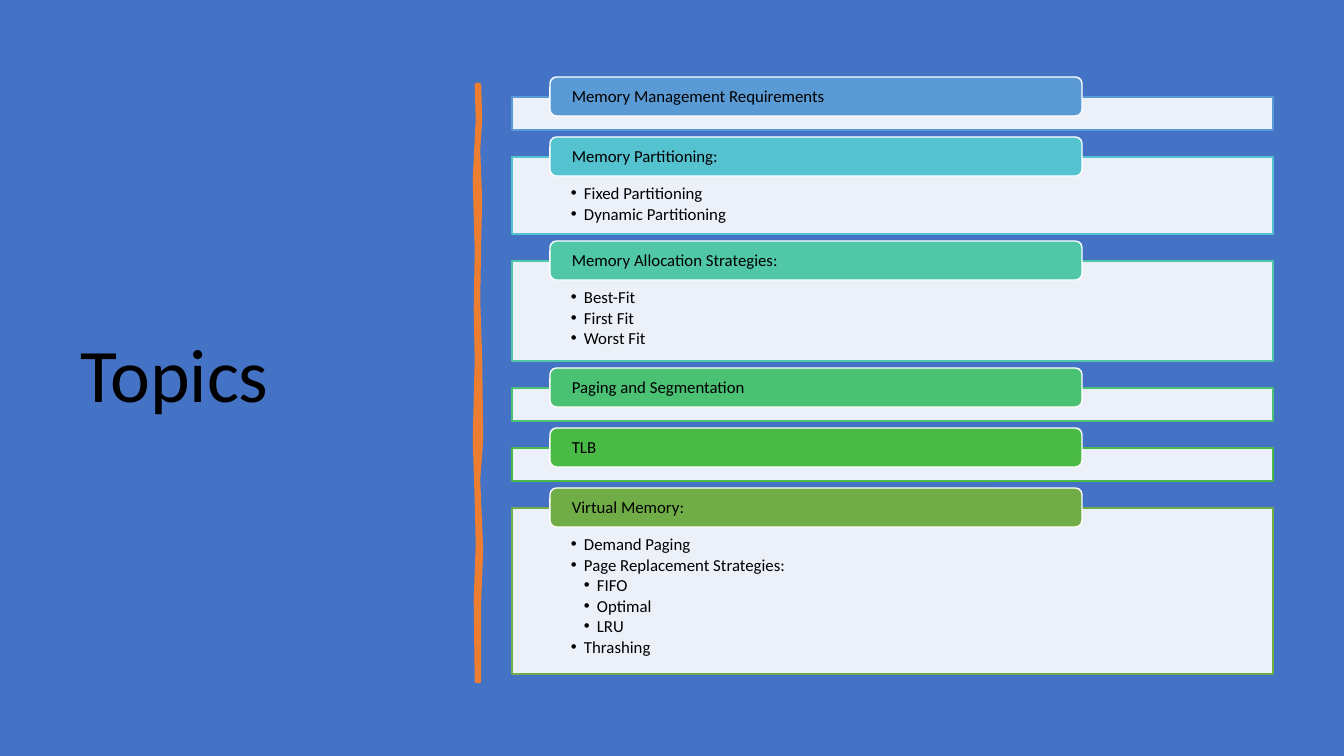
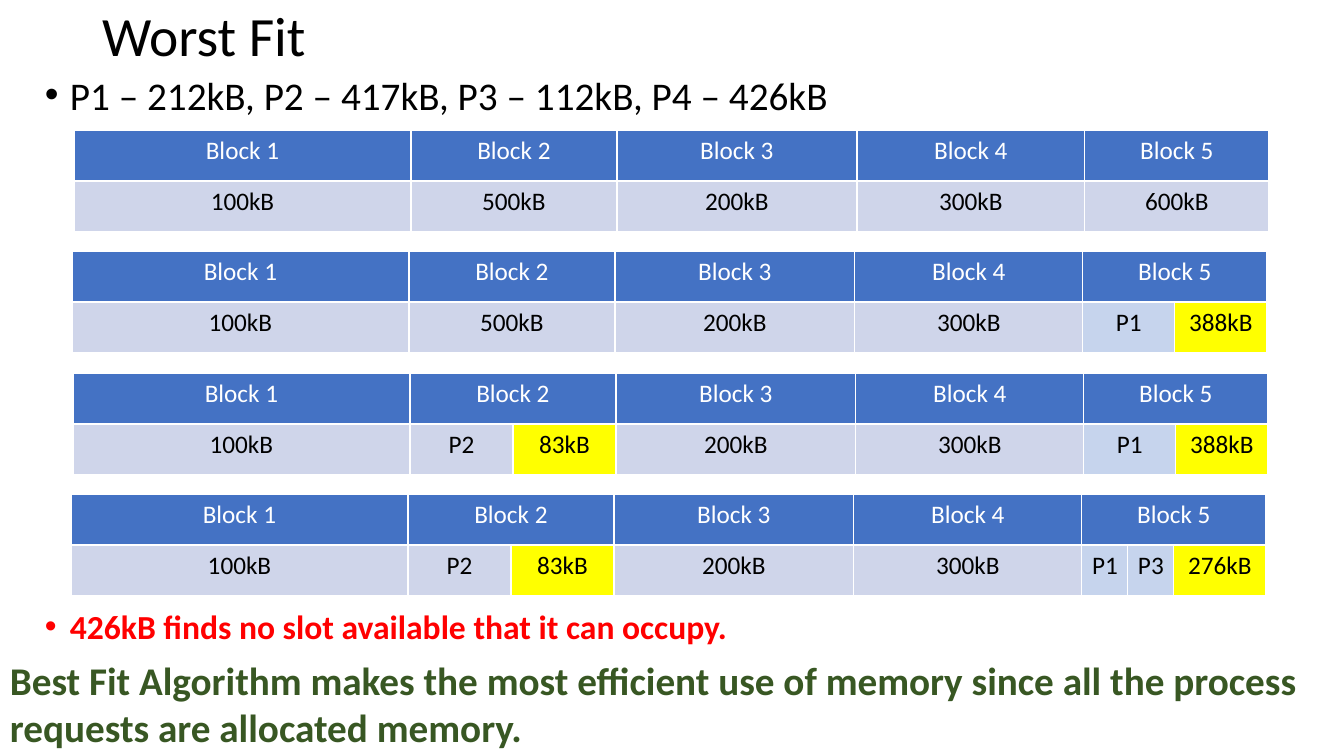
from lxml.etree import SubElement
from pptx import Presentation
from pptx.dml.color import RGBColor
from pptx.enum.shapes import MSO_SHAPE
from pptx.enum.text import MSO_ANCHOR, MSO_AUTO_SIZE, PP_ALIGN
from pptx.oxml import parse_xml
from pptx.oxml.ns import nsdecls, qn
from pptx.util import Emu, Pt

SLIDE_WIDTH, SLIDE_HEIGHT = 1344, 756
EMU_PER_PX = 914400 / 100.8
FONT = "Calibri"
COLORS = {
    "black": "000000", "white": "FFFFFF", "blue": "4472C4", "orange": "ED7D31",
    "free": "CFD5EA", "used": "C6D4ED", "left": "FFFF00",
    "red": "FF0000", "green": "385723",
}

# Heading, accent colour, details as (text, level)
TOPICS = [
    ("Memory Management Requirements", "5B9BD5", []),
    ("Memory Partitioning:", "55C3CF",
     [("Fixed Partitioning", 1), ("Dynamic Partitioning", 1)]),
    ("Memory Allocation Strategies:", "50C8A7",
     [("Best-Fit", 1), ("First Fit", 1), ("Worst Fit", 1)]),
    ("Paging and Segmentation", "4BC174", []),
    ("TLB", "4ABA46", []),
    ("Virtual Memory:", "70AD47",
     [("Demand Paging", 1), ("Page Replacement Strategies:", 1), ("FIFO", 2),
      ("Optimal", 2), ("LRU", 2), ("Thrashing", 1)]),
]
CARD_LEFT, CARD_TOP, CARD_WIDTH, CARD_GAP = 512, 97, 761, 27
CARD_BASE, CARD_LINE = 33, 22.2
HEADING_LEFT, HEADING_RISE, HEADING_WIDTH, HEADING_HEIGHT = 550, 20, 532, 39

# Edges of the hand-drawn divider as (x, y), down the right and up the left
DIVIDER = [(479, 85), (480, 120), (478, 150), (480, 200), (479, 240), (478, 300),
           (480, 360), (481, 440), (478, 480), (481, 550), (479, 600), (479, 681),
           (477, 681), (476, 600), (478, 545), (477, 500), (475, 440), (477, 360),
           (476, 310), (477, 250), (475, 180), (478, 120), (477, 85)]

# Each block is a list of parts: text, fill, quarters of the block's width
BLOCK_WIDTHS = [337, 206, 240, 228, 184]
ROW_HEIGHT = 51
FREE_1, FREE_2, FREE_3, FREE_4, FREE_5 = (
    [(size, "free", 4)] for size in ("100kB", "500kB", "200kB", "300kB", "600kB"))
BLOCK_2_WITH_P2 = [("P2", "free", 2), ("83kB", "left", 2)]
BLOCK_5_WITH_P1 = [("P1", "used", 2), ("388kB", "left", 2)]
BLOCK_5_WITH_P3 = [("P1", "used", 1), ("P3", "used", 1), ("276kB", "left", 2)]
# Left, top, blocks
MEMORY_STATES = [
    (74, 130, [FREE_1, FREE_2, FREE_3, FREE_4, FREE_5]),
    (72, 251, [FREE_1, FREE_2, FREE_3, FREE_4, BLOCK_5_WITH_P1]),
    (73, 373, [FREE_1, BLOCK_2_WITH_P2, FREE_3, FREE_4, BLOCK_5_WITH_P1]),
    (71, 494, [FREE_1, BLOCK_2_WITH_P2, FREE_3, FREE_4, BLOCK_5_WITH_P3]),
]
PROCESSES = "P1 – 212kB, P2 – 417kB, P3 – 112kB, P4 – 426kB"
RESULT = "426kB finds no slot available that it can occupy."
CONCLUSION = ("Best Fit Algorithm makes the most efficient use of memory since all "
              "the process requests are allocated memory.")


def px(value):
    return Emu(round(value * EMU_PER_PX))


def box(left, top, width, height):
    return px(left), px(top), px(width), px(height)


def rgb(color):
    return RGBColor.from_string(COLORS.get(color, color))


def write(frame, text, level=1, size=12, color="black", bold=False, align=PP_ALIGN.LEFT,
          spacing=None, before=None, after=None, indent=0):
    """Add a paragraph to a text frame; an indent in px gives it a bullet."""
    paragraph = frame.add_paragraph() if frame.text else frame.paragraphs[0]
    if indent:
        properties = paragraph._p.get_or_add_pPr()
        properties.set("marL", str(px(indent * level)))
        properties.set("indent", str(-px(indent)))
        SubElement(properties, qn("a:buFont"), typeface="Arial")
        SubElement(properties, qn("a:buChar"), char="•")
    paragraph.alignment = align
    if spacing:
        paragraph.line_spacing = spacing
    if before:
        paragraph.space_before = Pt(before)
    if after:
        paragraph.space_after = Pt(after)
    run = paragraph.add_run()
    run.text = text
    run.font.name = FONT
    run.font.size = Pt(size)
    run.font.bold = bold
    run.font.color.rgb = rgb(color)


def set_insets(frame, left, top, right, bottom):
    frame.margin_left, frame.margin_top = px(left), px(top)
    frame.margin_right, frame.margin_bottom = px(right), px(bottom)


def paint(shape, fill, line=None, width=1):
    shape.shadow.inherit = False
    shape.fill.solid()
    shape.fill.fore_color.rgb = rgb(fill)
    if line:
        shape.line.color.rgb = rgb(line)
        shape.line.width = Pt(width)
    else:
        shape.line.fill.background()


def add_titled_slide(presentation, text, place, size):
    slide = presentation.slides.add_slide(presentation.slide_layouts[5])
    title = slide.shapes.title
    title.left, title.top, title.width, title.height = box(*place)
    frame = title.text_frame
    frame.word_wrap = True
    frame.auto_size = MSO_AUTO_SIZE.NONE
    frame.vertical_anchor = MSO_ANCHOR.MIDDLE
    write(frame, text, size=size, spacing=0.9)
    return slide


def add_text_frame(slide, *place):
    frame = slide.shapes.add_textbox(*box(*place)).text_frame
    frame.word_wrap = True
    return frame


def add_backdrop(slide):
    backdrop = slide.shapes.add_shape(
        MSO_SHAPE.RECTANGLE, *box(0, 0, SLIDE_WIDTH, SLIDE_HEIGHT))
    paint(backdrop, "blue")
    slide.shapes.title._element.addprevious(backdrop._element)


def add_divider(slide):
    start, *rest = [(px(x), px(y)) for x, y in DIVIDER]
    builder = slide.shapes.build_freeform(*start)
    builder.add_line_segments(rest, close=True)
    paint(builder.convert_to_shape(), "orange", "orange", 3.25)


def add_topic(slide, top, height, heading, accent, details):
    card = slide.shapes.add_shape(
        MSO_SHAPE.RECTANGLE, *box(CARD_LEFT, top, CARD_WIDTH, height))
    paint(card, "white", accent)
    SubElement(card.fill._xPr.find(".//" + qn("a:srgbClr")), qn("a:alpha"), val="90000")
    card.text_frame.vertical_anchor = MSO_ANCHOR.TOP
    set_insets(card.text_frame, 59, 28, 59, 9)
    for text, level in details:
        write(card.text_frame, text, level=level, spacing=0.9, after=1.7, indent=13)

    label = slide.shapes.add_shape(
        MSO_SHAPE.ROUNDED_RECTANGLE,
        *box(HEADING_LEFT, top - HEADING_RISE, HEADING_WIDTH, HEADING_HEIGHT))
    paint(label, accent, "white")
    label.text_frame.vertical_anchor = MSO_ANCHOR.MIDDLE
    set_insets(label.text_frame, 20, 1, 20, 0)
    write(label.text_frame, heading, spacing=0.9)


def format_cell(cell, fill):
    cell.fill.solid()
    cell.fill.fore_color.rgb = rgb(fill)
    properties = cell._tc.get_or_add_tcPr()
    for index, side in enumerate(("lnL", "lnR", "lnT", "lnB")):
        properties.insert(index, parse_xml(
            f'<a:{side} {nsdecls("a")} w="12700"><a:solidFill>'
            f'<a:srgbClr val="{COLORS["white"]}"/></a:solidFill></a:{side}>'))


def add_memory_table(slide, left, top, blocks):
    columns = sum(len(parts) for parts in blocks)
    table = slide.shapes.add_table(
        2, columns, *box(left, top, sum(BLOCK_WIDTHS), 2 * ROW_HEIGHT)).table
    for row in table.rows:
        row.height = px(ROW_HEIGHT)
    column = 0
    for number, (parts, width) in enumerate(zip(blocks, BLOCK_WIDTHS), 1):
        header = table.cell(0, column)
        if len(parts) > 1:
            header.merge(table.cell(0, column + len(parts) - 1))
        write(header.text_frame, f"Block {number}", size=18, color="white",
              align=PP_ALIGN.CENTER)
        for text, fill, quarters in parts:
            table.columns[column].width = px(width * quarters / 4)
            format_cell(table.cell(0, column), "blue")
            cell = table.cell(1, column)
            format_cell(cell, fill)
            write(cell.text_frame, text, size=18, align=PP_ALIGN.CENTER)
            column += 1


def build_topics(presentation):
    slide = add_titled_slide(presentation, "Topics", (70, 70, 377, 616), 54)
    add_backdrop(slide)
    add_divider(slide)
    top = CARD_TOP
    for heading, accent, details in TOPICS:
        height = round(CARD_BASE + CARD_LINE * len(details))
        add_topic(slide, top, height, heading, accent, details)
        top += height + CARD_GAP


def build_worst_fit(presentation):
    slide = add_titled_slide(presentation, "Worst Fit", (92, 2, 1159, 73), 39.6)
    body = add_text_frame(slide, 35, 75, 1273, 606)
    write(body, PROCESSES, size=28, spacing=0.8, indent=25)
    write(body, RESULT, size=24, color="red", bold=True, before=349, indent=25)
    for state in MEMORY_STATES:
        add_memory_table(slide, *state)
    conclusion = add_text_frame(slide, 0, 651, SLIDE_WIDTH, 105)
    write(conclusion, CONCLUSION, size=28, color="green", bold=True)


def main():
    presentation = Presentation()
    presentation.slide_width, presentation.slide_height = px(SLIDE_WIDTH), px(SLIDE_HEIGHT)
    build_topics(presentation)
    build_worst_fit(presentation)
    presentation.save("out.pptx")


if __name__ == "__main__":
    main()
